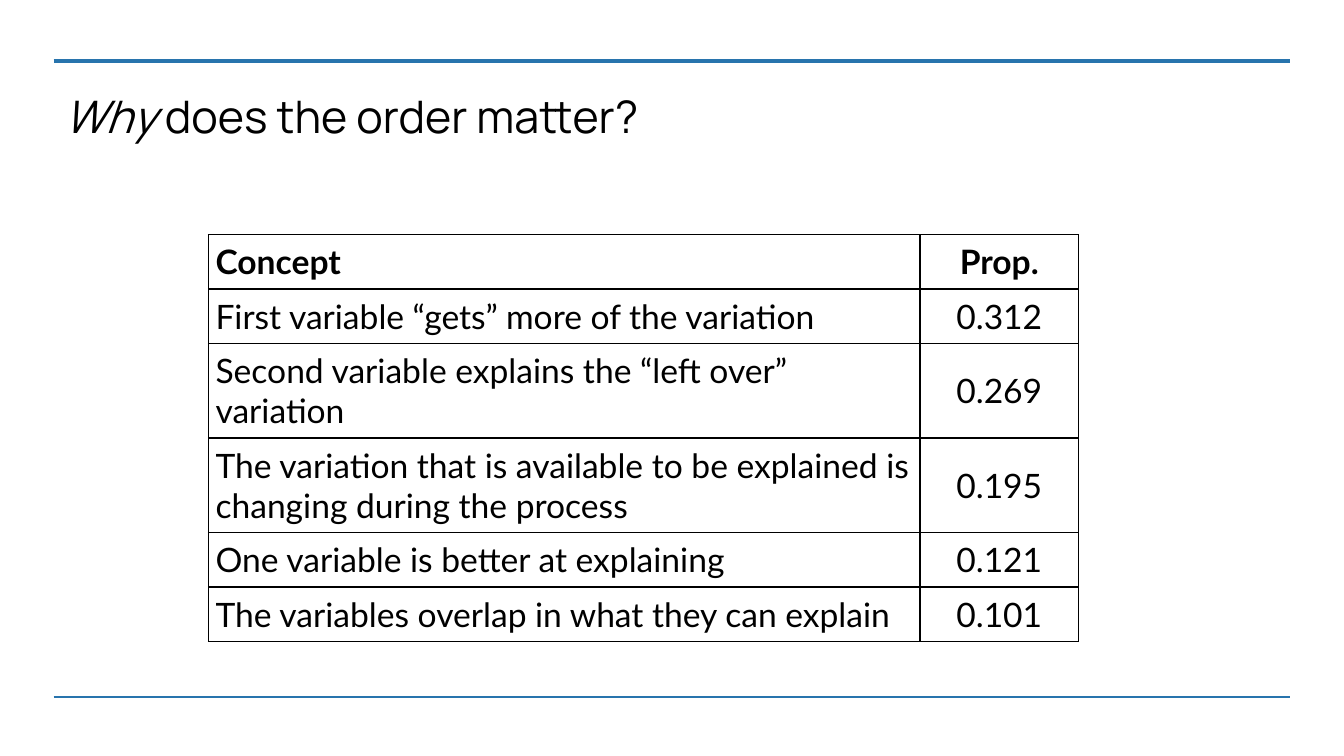
from lxml import etree
from pptx import Presentation
from pptx.dml.color import RGBColor
from pptx.enum.shapes import MSO_CONNECTOR as CONN
from pptx.enum.text import MSO_ANCHOR as ANCHOR, PP_ALIGN as ALIGN
from pptx.oxml.ns import qn
from pptx.util import Pt


def color(value):
    return RGBColor.from_string(value)


class Deck:
    BLUE, BLACK, WHITE = "2874AD", "000000", "FFFFFF"
    TITLE_FONT, BODY_FONT = "Manrope", "Lato"

    def __init__(self, prs):
        self.s = prs.slides.add_slide(prs.slide_layouts[6])
        fill = self.s.background.fill
        fill.solid()
        fill.fore_color.rgb = color(self.WHITE)

    def run(self, p, text, font, size, bold=False, italic=False):
        r = p.add_run()
        r.text = text
        r.font.name, r.font.size = font, Pt(size)
        r.font.bold, r.font.italic = bold, italic
        r.font.color.rgb = color(self.BLACK)

    def rule(self, x1, x2, y, width):
        line = self.s.shapes.add_connector(CONN.STRAIGHT, Pt(x1), Pt(y), Pt(x2), Pt(y))
        line.line.color.rgb = color(self.BLUE)
        line.line.width = Pt(width)
        etree.SubElement(line._element.spPr, qn("a:effectLst"))

    def title(self, x, y, w, h, runs):
        tf = self.s.shapes.add_textbox(Pt(x), Pt(y), Pt(w), Pt(h)).text_frame
        tf.word_wrap = True
        tf.vertical_anchor = ANCHOR.TOP
        tf.margin_left = tf.margin_right = tf.margin_top = tf.margin_bottom = Pt(7.2)
        p = tf.paragraphs[0]
        p.line_spacing = 0.9
        for text, italic in runs:
            self.run(p, text, self.TITLE_FONT, 32, italic=italic)

    def borders(self, cell):
        tc_pr = cell._tc.get_or_add_tcPr()
        for i, side in enumerate(("lnL", "lnR", "lnT", "lnB")):
            ln = etree.Element(qn("a:" + side), w=str(Pt(1)))
            fill = etree.SubElement(ln, qn("a:solidFill"))
            etree.SubElement(fill, qn("a:srgbClr"), val=self.BLACK)
            tc_pr.insert(i, ln)

    def table(self, x, y, widths, heights, rows):
        frame = self.s.shapes.add_table(len(rows), len(widths), Pt(x), Pt(y),
                                        Pt(sum(widths)), Pt(sum(heights)))
        table = frame.table
        table.first_row = table.horz_banding = False
        for col, width in zip(table.columns, widths):
            col.width = Pt(width)
        for i, (values, height) in enumerate(zip(rows, heights)):
            table.rows[i].height = Pt(height)
            for j, text in enumerate(values):
                cell = table.cell(i, j)
                cell.fill.background()
                cell.vertical_anchor = ANCHOR.MIDDLE
                cell.margin_left = cell.margin_right = Pt(5)
                cell.margin_top = cell.margin_bottom = Pt(5)
                p = cell.text_frame.paragraphs[0]
                p.alignment = ALIGN.CENTER if j else ALIGN.LEFT
                self.run(p, text, self.BODY_FONT, 24, bold=i == 0)
                self.borders(cell)


def main():
    prs = Presentation()
    prs.slide_width, prs.slide_height = Pt(960), Pt(540)
    deck = Deck(prs)

    # Rules above and below the content
    deck.rule(38.4, 921.6, 43.7, 3)
    deck.rule(38.4, 921.6, 497.7, 1.5)

    # Title
    deck.title(38.4, 60.5, 883.2, 67,
               [("Why", True), (" does the order matter?", False)])

    # Concepts and their proportions
    one_line, two_lines = 38.8, 67.6
    deck.table(149, 167.6, [508.2, 113.2],
               [one_line, one_line, two_lines, two_lines, one_line, one_line],
               [("Concept", "Prop."),
                ("First variable “gets” more of the variation", "0.312"),
                ("Second variable explains the “left over” variation", "0.269"),
                ("The variation that is available to be explained is changing "
                 "during the process", "0.195"),
                ("One variable is better at explaining", "0.121"),
                ("The variables overlap in what they can explain", "0.101")])

    prs.save("out.pptx")


if __name__ == "__main__":
    main()
